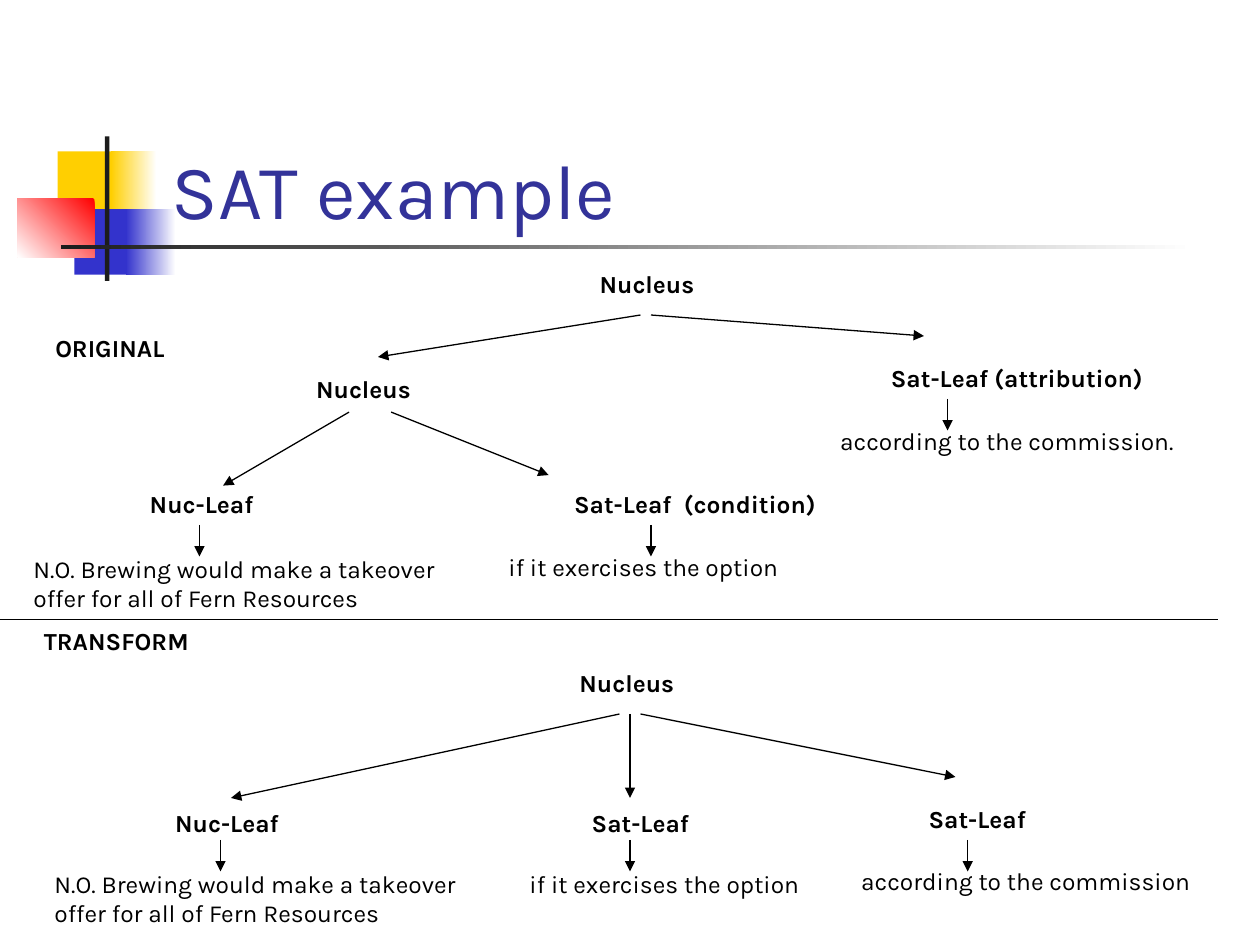
from lxml import etree
from pptx import Presentation
from pptx.dml.color import RGBColor
from pptx.enum.shapes import MSO_CONNECTOR, MSO_SHAPE
from pptx.enum.text import MSO_ANCHOR, MSO_AUTO_SIZE, PP_ALIGN
from pptx.oxml.ns import qn
from pptx.util import Pt

STRAIGHT = MSO_CONNECTOR.STRAIGHT
RECTANGLE = MSO_SHAPE.RECTANGLE
BOTTOM = MSO_ANCHOR.BOTTOM
LEFT = PP_ALIGN.LEFT
FIT_SHAPE = MSO_AUTO_SIZE.SHAPE_TO_FIT_TEXT
NO_FIT = MSO_AUTO_SIZE.NONE

BLACK = RGBColor(0x00, 0x00, 0x00)
WHITE = RGBColor(0xFF, 0xFF, 0xFF)
YELLOW = RGBColor(0xFF, 0xCF, 0x01)
BLUE = RGBColor(0x33, 0x33, 0xCC)
RED = RGBColor(0xFF, 0x00, 0x00)
CHARCOAL = RGBColor(0x1C, 0x1C, 0x1C)
TITLE_BLUE = RGBColor(0x33, 0x33, 0x99)

TITLE_ONLY = 5
LINE_HEIGHT = 16.5
TEXT_PADDING = 8
STEM_LENGTH = 18

# left, top, width, height, colours, gradient angle (counter-clockwise)
DECORATION = [
    (33, 86.5, 34.5, 37.5, [YELLOW], None),
    (63.5, 86.5, 26, 37.5, [WHITE, YELLOW], 180),
    (42.5, 119.5, 33, 37.5, [BLUE], None),
    (72, 119.5, 28.5, 37.5, [WHITE, BLUE], 180),
    (10, 113.5, 44, 33.5, [RED, WHITE], 225),
    (60, 78, 2.5, 82.5, [CHARCOAL], None),
    (35, 140, 648, 2.5, [WHITE, CHARCOAL], 180),
]

TAKEOVER = ["N.O. Brewing would make a takeover", "offer for all of Fern Resources"]
OPTION = ["if it exercises the option"]

# left, top, width, lines
LEAF_TEXTS = [
    (12, 313, 254, TAKEOVER),
    (283.5, 312, 171.5, OPTION),
    (473, 240, 209, ["according to the commission."]),
    (24, 493, 254, TAKEOVER),
    (295.5, 493, 171.5, OPTION),
    (485, 491.5, 205, ["according to the commission"]),
]

# left, top, width, label
LABELS = [
    (24.5, 186.5, 85, "ORIGINAL"),
    (335.5, 150, 70.5, "Nucleus"),
    (173.5, 210, 70.5, "Nucleus"),
    (502, 204, 162, "Sat-Leaf (attribution)"),
    (78.5, 276, 77, "Nuc-Leaf"),
    (321, 276, 155, "Sat-Leaf  (condition)"),
    (18, 354, 101.5, "TRANSFORM"),
    (324, 378, 70.5, "Nucleus"),
    (93, 458, 77, "Nuc-Leaf"),
    (331, 458, 71, "Sat-Leaf"),
    (523.5, 456, 71, "Sat-Leaf"),
]

BRANCHES = [
    ((366, 180), (216, 204)),
    ((372, 180), (528, 192)),
    ((199.5, 235.5), (127.5, 277.5)),
    ((223.5, 235.5), (313.5, 271.5)),
    ((354, 408), (132, 456)),
    ((360, 408), (360, 456)),
    ((366, 408), (546, 444)),
]

STEM_STARTS = [(114, 300), (372, 300), (541.5, 228), (126, 480), (360, 480), (553, 480)]


class SlideBuilder:
    def __init__(self, slide):
        self.slide = slide
        self.font_name = "Karla"
        self.text_size = 14
        self.title_size = 44
        self.line_width = 0.75

    def add_run(self, paragraph, text, size, color, bold=False):
        run = paragraph.add_run()
        run.text = text
        font = run.font
        font.name = self.font_name
        font.size = Pt(size)
        font.bold = bold
        font.color.rgb = color

    def title(self, left, top, width, height, text):
        title = self.slide.shapes.title
        title.left, title.top = Pt(left), Pt(top)
        title.width, title.height = Pt(width), Pt(height)
        frame = title.text_frame
        frame.auto_size = NO_FIT
        frame.vertical_anchor = BOTTOM
        paragraph = frame.paragraphs[0]
        paragraph.alignment = LEFT
        self.add_run(paragraph, text, self.title_size, TITLE_BLUE)

    def block(self, left, top, width, height, colors, angle):
        """Add a borderless rectangle with a solid or two-colour gradient fill."""
        shape = self.slide.shapes.add_shape(
            RECTANGLE, Pt(left), Pt(top), Pt(width), Pt(height))
        shape.shadow.inherit = False
        shape.line.fill.background()
        if angle is None:
            shape.fill.solid()
            shape.fill.fore_color.rgb = colors[0]
        else:
            shape.fill.gradient()
            shape.fill.gradient_angle = angle
            for stop, color in zip(shape.fill.gradient_stops, colors):
                stop.color.rgb = color

    def text(self, left, top, width, lines, bold=False):
        height = TEXT_PADDING + LINE_HEIGHT * len(lines)
        box = self.slide.shapes.add_textbox(Pt(left), Pt(top), Pt(width), Pt(height))
        frame = box.text_frame
        frame.word_wrap = False
        frame.auto_size = FIT_SHAPE
        for index, line in enumerate(lines):
            paragraph = frame.add_paragraph() if index else frame.paragraphs[0]
            paragraph.alignment = LEFT
            self.add_run(paragraph, line, self.text_size, BLACK, bold)

    def line(self, start, end, arrow=True):
        connector = self.slide.shapes.add_connector(
            STRAIGHT, *(Pt(value) for value in (*start, *end)))
        connector.line.color.rgb = BLACK
        connector.line.width = Pt(self.line_width)
        if arrow:
            outline = connector.line._get_or_add_ln()
            etree.SubElement(outline, qn("a:tailEnd"), type="triangle")
        etree.SubElement(connector._element.spPr, qn("a:effectLst"))


def main():
    presentation = Presentation()
    presentation.slide_width, presentation.slide_height = Pt(720), Pt(540)
    slide = presentation.slides.add_slide(presentation.slide_layouts[TITLE_ONLY])
    builder = SlideBuilder(slide)

    for block in DECORATION:
        builder.block(*block)
    builder.title(91, 48, 613.5, 90, "SAT example")
    for leaf_text in LEAF_TEXTS:
        builder.text(*leaf_text)
    for left, top, width, label in LABELS:
        builder.text(left, top, width, [label], bold=True)
    for start, end in BRANCHES:
        builder.line(start, end)
    for x, y in STEM_STARTS:
        builder.line((x, y), (x, y + STEM_LENGTH))
    builder.line((0, 354), (696, 354), arrow=False)

    presentation.save("out.pptx")


if __name__ == "__main__":
    main()
